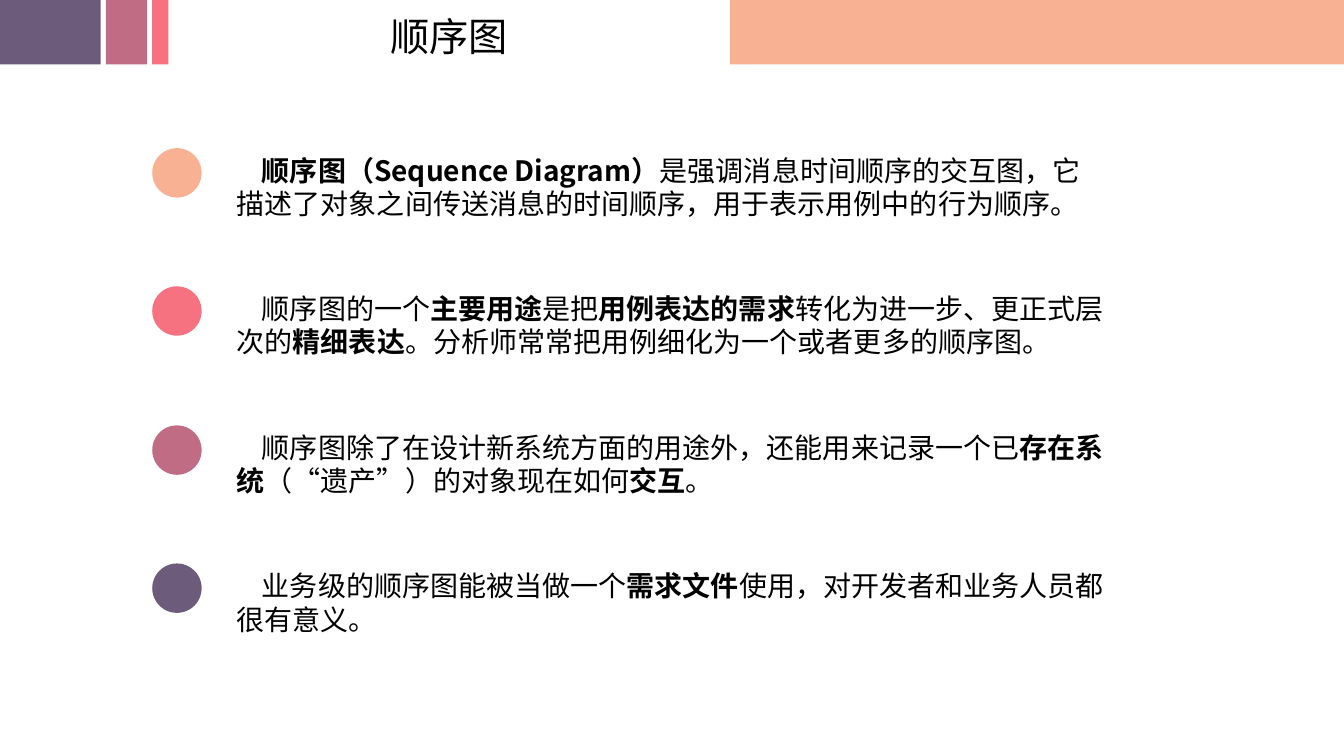
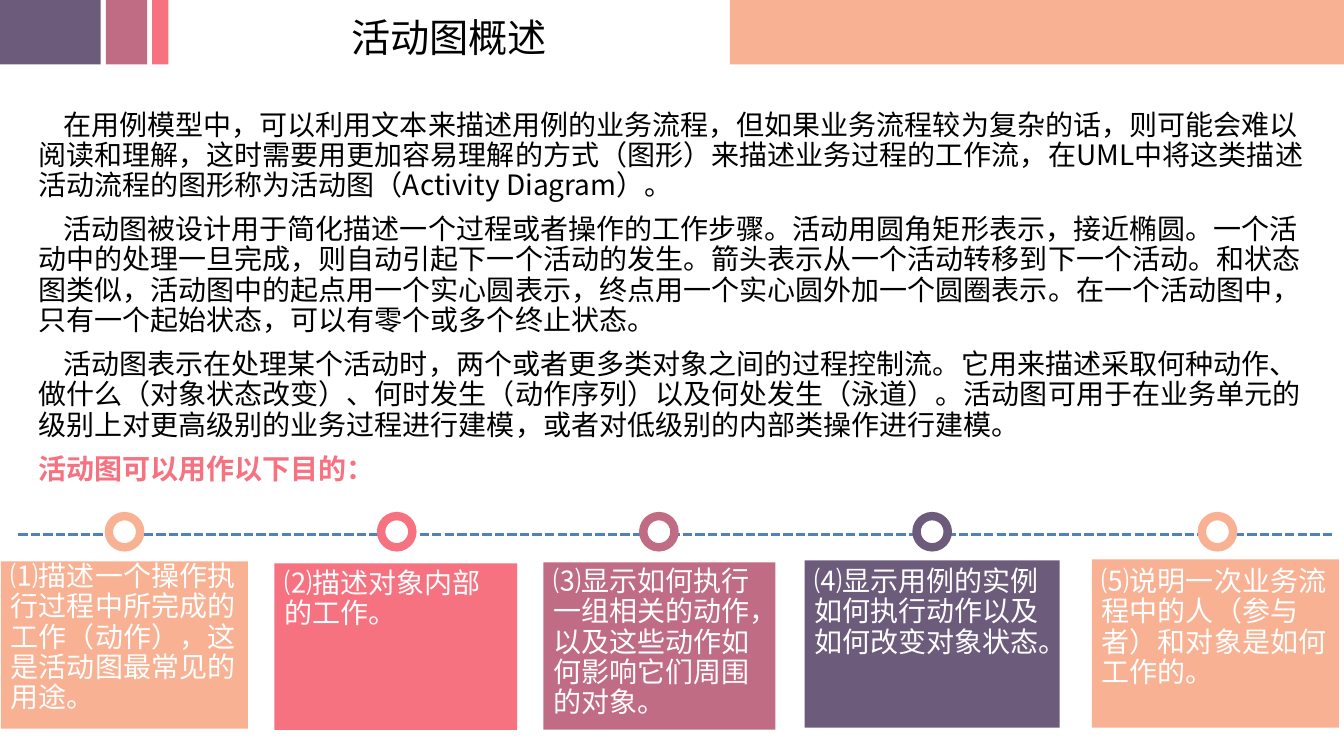
from dataclasses import dataclass

from lxml import etree
from pptx import Presentation
from pptx.dml.color import RGBColor
from pptx.enum.dml import MSO_LINE
from pptx.enum.shapes import MSO_CONNECTOR, MSO_SHAPE
from pptx.enum.text import MSO_ANCHOR, MSO_AUTO_SIZE, PP_ALIGN
from pptx.oxml.ns import qn
from pptx.util import Pt

RECT, OVAL = MSO_SHAPE.RECTANGLE, MSO_SHAPE.OVAL
LINE, DASH = MSO_CONNECTOR.STRAIGHT, MSO_LINE.SQUARE_DOT
TOP, FIXED = MSO_ANCHOR.TOP, MSO_AUTO_SIZE.NONE
LEFT, CENTER = PP_ALIGN.LEFT, PP_ALIGN.CENTER
SCALE = 9144  # EMU in one px, 100 px to the inch


@dataclass(frozen=True)
class Theme:
    peach: str = "F8B193"
    coral: str = "F67280"
    rose: str = "C06C84"
    plum: str = "6C5B7B"
    blue: str = "4F81BD"
    ink: str = "000000"
    white: str = "FFFFFF"
    font: str = "Noto Sans CJK SC"
    head: int = 28
    body: int = 20


T = Theme()

# Left, width and colour of the top bands
BANDS = [(724, 609, T.peach), (0, 100, T.plum),
         (105, 41, T.rose), (151, 16, T.coral)]

# Asterisks enclose bold words
POINTS = [
    (T.peach, "*顺序图（Sequence Diagram）*是强调消息时间顺序的交互图，它描述了对象之间传送消息的时间顺序，用于表示用例中的行为顺序。"),
    (T.coral, "顺序图的一个*主要用途*是把*用例表达的需求*转化为进一步、更正式层次的*精细表达*。分析师常常把用例细化为一个或者更多的顺序图。"),
    (T.rose, "顺序图除了在设计新系统方面的用途外，还能用来记录一个已*存在系统*（“遗产”）的对象现在如何*交互*。"),
    (T.plum, "业务级的顺序图能被当做一个*需求文件*使用，对开发者和业务人员都很有意义。"),
]

INTRO = [
    "在用例模型中，可以利用文本来描述用例的业务流程，但如果业务流程较为复杂的话，则可能会难以阅读和理解，这时需要用更加容易理解的方式（图形）来描述业务过程的工作流，在UML中将这类描述活动流程的图形称为活动图（Activity Diagram）。",
    "活动图被设计用于简化描述一个过程或者操作的工作步骤。活动用圆角矩形表示，接近椭圆。一个活动中的处理一旦完成，则自动引起下一个活动的发生。箭头表示从一个活动转移到下一个活动。和状态图类似，活动图中的起点用一个实心圆表示，终点用一个实心圆外加一个圆圈表示。在一个活动图中，只有一个起始状态，可以有零个或多个终止状态。",
    "活动图表示在处理某个活动时，两个或者更多类对象之间的过程控制流。它用来描述采取何种动作、做什么（对象状态改变）、何时发生（动作序列）以及何处发生（泳道）。活动图可用于在业务单元的级别上对更高级别的业务过程进行建模，或者对低级别的内部类操作进行建模。",
]

# Ring left, card box, top inset, colour and text
GOALS = [
    (108, (1, 557, 245, 166), 1, T.peach, "⑴描述一个操作执行过程中所完成的工作（动作），这是活动图最常见的用途。"),
    (378, (272, 559, 241, 165), 6, T.coral, "⑵描述对象内部的工作。"),
    (638, (539, 558, 230, 166), 5, T.rose, "⑶显示如何执行一组相关的动作，以及这些动作如何影响它们周围的对象。"),
    (909, (798, 556, 253, 166), 7, T.plum, "⑷显示用例的实例如何执行动作以及如何改变对象状态。"),
    (1192, (1083, 555, 245, 167), 8, T.peach, "⑸说明一次业务流程中的人（参与者）和对象是如何工作的。"),
]


def px(*vals):
    return [v * SCALE for v in vals]


def rgb(code):
    return RGBColor.from_string(code)


def setup(frame, wrap=True, top=5):
    """Fix the insets, anchor and wrapping of a text frame."""
    frame.auto_size = FIXED
    frame.word_wrap = wrap
    frame.vertical_anchor = TOP
    frame.margin_left, frame.margin_right = px(10, 10)
    frame.margin_top, frame.margin_bottom = px(top, 5)
    return frame


def text(frame, words, size=T.body, color=T.ink, bold=False,
         align=LEFT, indent=0, space=1.0, before=0):
    """Add one paragraph, filling the first one if it is empty."""
    para = frame.paragraphs[0] if not frame.text else frame.add_paragraph()
    para.alignment = align
    para.line_spacing = space
    para.space_before = Pt(before)
    para._p.get_or_add_pPr().set("indent", str(indent * SCALE))
    for i, part in enumerate(words.split("*")):
        if not part:
            continue
        run = para.add_run()
        run.text = part
        font = run.font
        font.name, font.size = T.font, Pt(size)
        font.bold = bold or i % 2 == 1
        font.color.rgb = rgb(color)
        east = etree.SubElement(font._element, qn("a:ea"))
        east.set("typeface", T.font)


def shape(slide, kind, box, fill, edge=None, width=0):
    item = slide.shapes.add_shape(kind, *px(*box))
    item.shadow.inherit = False
    item.fill.solid()
    item.fill.fore_color.rgb = rgb(fill)
    if edge:
        item.line.color.rgb = rgb(edge)
        item.line.width = Pt(width)
    else:
        item.line.fill.background()
    return item


def label(slide, box):
    return setup(slide.shapes.add_textbox(*px(*box)).text_frame)


def dashes(slide, start, end):
    line = slide.shapes.add_connector(LINE, *px(*start, *end))
    line.line.color.rgb = rgb(T.blue)
    line.line.width = Pt(2.25)
    line.line.dash_style = DASH
    etree.SubElement(line._element.spPr, qn("a:effectLst"))


def page(deck, title, top):
    """Start a slide with the shared bands and title."""
    slide = deck.slides.add_slide(deck.slide_layouts[5])
    for left, width, color in BANDS:
        shape(slide, RECT, (left, 0, width, 64), color)
    head = slide.shapes.title
    head.left, head.top, head.width, head.height = px(337, top, 217, 57)
    text(setup(head.text_frame, wrap=False), title, size=T.head, align=CENTER)
    return slide


def sequence(deck):
    slide = page(deck, "顺序图", 7)
    for i, (color, words) in enumerate(POINTS):
        top = 147 + i * 275 // 2
        shape(slide, OVAL, (151, top, 49, 49), color)
        text(label(slide, (225, top, 884, 77)), words, indent=25)


def activity(deck):
    slide = page(deck, "活动图概述", 8)
    flow = {"space": 0.9, "before": 10}

    # Introduction
    frame = label(slide, (28, 105, 1295, 385))
    for words in INTRO:
        text(frame, words, indent=25, **flow)
    text(frame, "活动图可以用作以下目的：", color=T.coral, bold=True, **flow)

    # Timeline with one ring and card per goal
    dashes(slide, (18, 530), (1323, 530))
    for left, box, inset, color, words in GOALS:
        shape(slide, OVAL, (left, 512, 31, 31), T.white, edge=color, width=6)
        card = shape(slide, RECT, box, color)
        text(setup(card.text_frame, top=inset), words, color=T.white, **flow)


def main():
    deck = Presentation()
    deck.slide_width, deck.slide_height = px(1333, 750)
    sequence(deck)
    activity(deck)
    deck.save("out.pptx")


if __name__ == "__main__":
    main()
